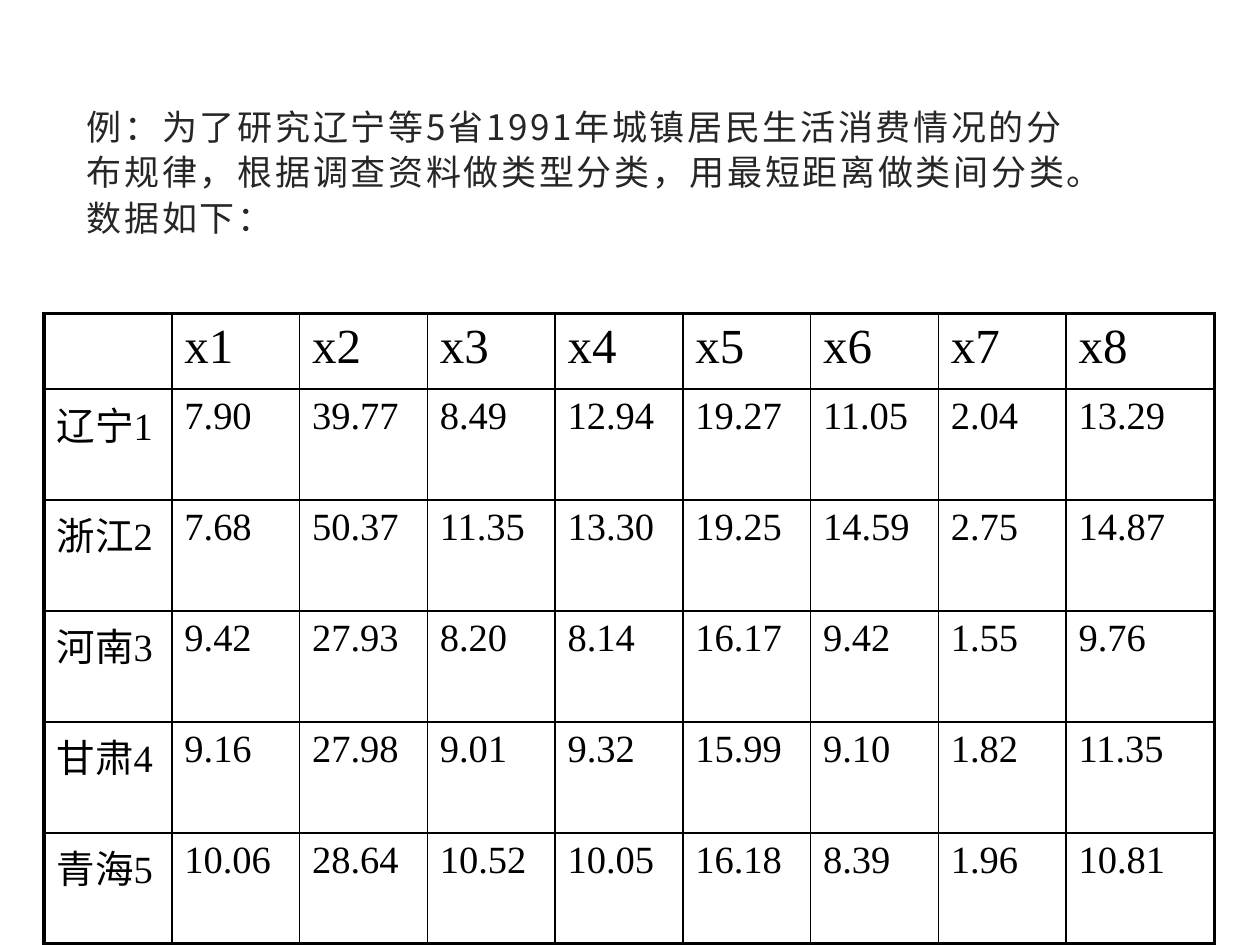
"""Build a slide that introduces a clustering example and its data table."""
from typing import NamedTuple

from lxml import etree
from pptx import Presentation
from pptx.dml.color import RGBColor
from pptx.enum.text import MSO_ANCHOR, MSO_AUTO_SIZE
from pptx.oxml.ns import qn
from pptx.util import Pt

NO_AUTOFIT = MSO_AUTO_SIZE.NONE
ANCHOR_TOP = MSO_ANCHOR.TOP

COLORS = {"body": "262626", "table": "000000"}
SANS = "Noto Sans CJK SC"
SERIF = "Times New Roman"

COLUMN_WIDTH, LAST_COLUMN_WIDTH = 73, 85
HEADER_HEIGHT, ROW_HEIGHT = 43.2, 23
INNER_LINE, OUTER_LINE = 1, 2.25

INTRODUCTION = (
    "例：为了研究辽宁等5省1991年城镇居民生活消费情况的分布规律，"
    "根据调查资料做类型分类，用最短距离做类间分类。数据如下："
)


class Province(NamedTuple):
    label: str
    values: tuple[str, ...]


PROVINCES = [
    Province("辽宁1", ("7.90", "39.77", "8.49", "12.94", "19.27", "11.05", "2.04", "13.29")),
    Province("浙江2", ("7.68", "50.37", "11.35", "13.30", "19.25", "14.59", "2.75", "14.87")),
    Province("河南3", ("9.42", "27.93", "8.20", "8.14", "16.17", "9.42", "1.55", "9.76")),
    Province("甘肃4", ("9.16", "27.98", "9.01", "9.32", "15.99", "9.10", "1.82", "11.35")),
    Province("青海5", ("10.06", "28.64", "10.52", "10.05", "16.18", "8.39", "1.96", "10.81")),
]


def write_text(paragraph, text: str, *, size: float, font: str, color: str,
               spacing: float = 0) -> None:
    """Add a formatted run to a paragraph."""
    run = paragraph.add_run()
    run.text = text
    run.font.size = Pt(size)
    run.font.name = font
    run.font.color.rgb = RGBColor.from_string(COLORS[color])
    properties = run.font._element
    etree.SubElement(properties, qn("a:ea"), typeface=SANS)
    if spacing:
        properties.set("spc", str(round(spacing * 100)))


def draw_border(cell, side: str, width: float) -> None:
    """Draw one solid side of a cell."""
    properties = cell._tc.get_or_add_tcPr()
    line = etree.SubElement(properties, qn(f"a:ln{side}"), w=str(int(Pt(width))))
    fill = etree.SubElement(line, qn("a:solidFill"))
    etree.SubElement(fill, qn("a:srgbClr"), val=COLORS["table"])


def add_introduction(slide) -> None:
    """Fill the body placeholder with the introduction."""
    body = slide.placeholders[1]
    body.left, body.top, body.width, body.height = Pt(42.5), Pt(54.7), Pt(584.6), Pt(141.8)
    frame = body.text_frame
    frame.word_wrap = True
    frame.auto_size = NO_AUTOFIT
    frame.vertical_anchor = ANCHOR_TOP
    paragraph = frame.paragraphs[0]
    properties = paragraph._p.get_or_add_pPr()
    properties.set("marL", "0")
    properties.set("indent", "0")
    etree.SubElement(properties, qn("a:buNone"))
    paragraph.line_spacing = 1.08
    paragraph.space_before = Pt(0)
    paragraph.space_after = Pt(10)
    write_text(paragraph, INTRODUCTION, size=20, font=SANS, color="body", spacing=1.5)


def add_data_table(slide) -> None:
    """Add the table of provinces with a heavy outer frame."""
    header = ["", *(f"x{number}" for number in range(1, 9))]
    rows = [header, *([province.label, *province.values] for province in PROVINCES)]
    widths = [COLUMN_WIDTH] * (len(header) - 1) + [LAST_COLUMN_WIDTH]
    heights = [HEADER_HEIGHT] + [ROW_HEIGHT] * len(PROVINCES)
    table = slide.shapes.add_table(
        len(rows), len(header), Pt(25.2), Pt(179.2), Pt(sum(widths)), Pt(sum(heights))
    ).table
    table.first_row = False
    table.horz_banding = False
    for column, width in zip(table.columns, widths):
        column.width = Pt(width)
    for row, height in zip(table.rows, heights):
        row.height = Pt(height)

    last_row, last_column = len(rows) - 1, len(header) - 1
    for row_index, texts in enumerate(rows):
        for column_index, text in enumerate(texts):
            cell = table.cell(row_index, column_index)
            outer_sides = {
                "L": column_index == 0,
                "R": column_index == last_column,
                "T": row_index == 0,
                "B": row_index == last_row,
            }
            for side, is_outer in outer_sides.items():
                draw_border(cell, side, OUTER_LINE if is_outer else INNER_LINE)
            cell.fill.background()
            if text:
                write_text(cell.text_frame.paragraphs[0], text,
                           size=22 if row_index else 28, font=SERIF, color="table")


def main() -> None:
    """Create and save the presentation."""
    presentation = Presentation()
    presentation.slide_width, presentation.slide_height = Pt(720), Pt(540)
    slide = presentation.slides.add_slide(presentation.slide_layouts[1])
    title = slide.shapes.title._element
    title.getparent().remove(title)
    add_introduction(slide)
    add_data_table(slide)
    presentation.save("out.pptx")


if __name__ == "__main__":
    main()
